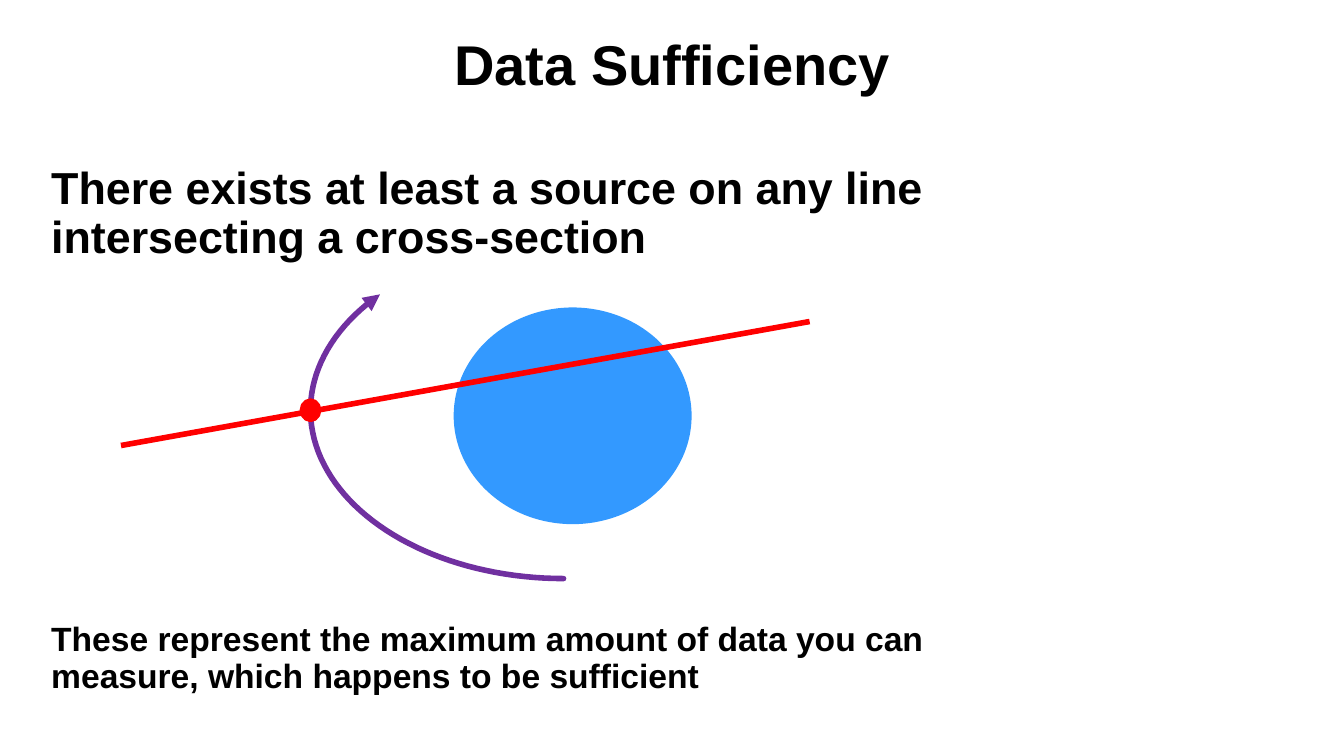
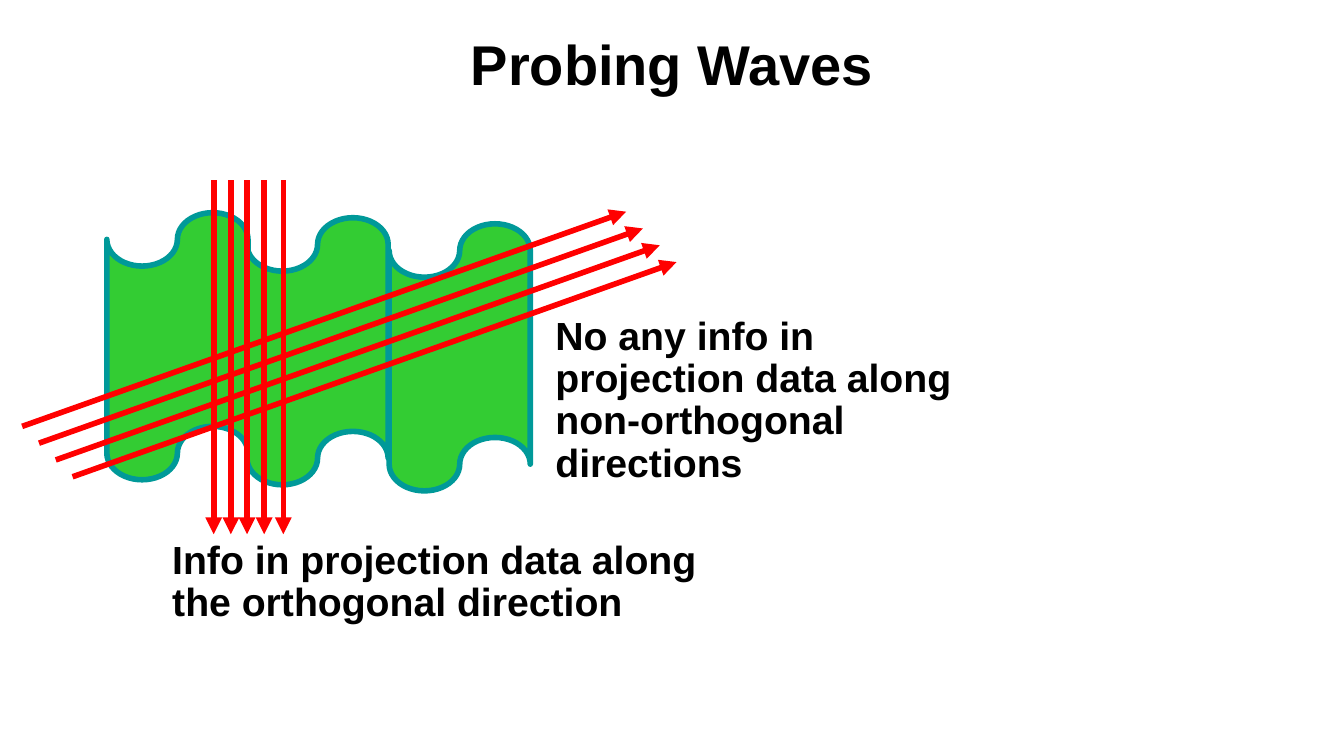
import math

from lxml import etree
from pptx import Presentation, util as u
from pptx.dml.color import RGBColor
from pptx.enum import shapes, text
from pptx.oxml.ns import qn

Inches = u.Inches

# Shared style
FONT = "Arial"
BLACK, RED, BLUE, PURPLE = "000000", "FF0000", "3399FF", "7030A0"
GREEN, TEAL, SHADOW = "33CC33", "009999", "C0C0C0"
LINE_WIDTH = u.Pt(4)
TITLE_BOX = (0.22, 0.17, 12.89, 0.92)

# Data Sufficiency: text is (paragraphs, box, size, wrap)
SUFFICIENCY_TITLE = "Data Sufficiency"
CONDITION = (["There exists at least a source on any line",
              "intersecting a cross-section"], (0.41, 1.6, 8.97, 1.07), 32, False)
CONCLUSION = (["These represent the maximum amount of data you can measure, "
               "which happens to be sufficient"], (0.41, 6.13, 9.16, 0.83), 24, True)
CROSS_SECTION = (4.5, 3.05, 2.36, 2.15)
SOURCE = (3, 3.98, 0.16, 0.18)
SOURCE_LINE = ((1.2, 4.42), (8.03, 3.19))
ORBIT_CENTER, ORBIT_RADII = (5.59, 4.07), (2.51, 1.67)
ORBIT_ANGLES, ORBIT_STEPS = (90, 223.5), 60

# Probing Waves
WAVES_TITLE = "Probing Waves"
WAVE_NOTES = [
    (["No any info in projection data along non-orthogonal directions"],
     (5.41, 3.09, 4.29, 1.8), 28, True),
    (["Info in projection data along the orthogonal direction"],
     (1.61, 5.31, 5.98, 0.95), 28, True),
]
WAVE_CORNERS = [(1.06, 2.11), (2.45, 2.16), (3.86, 2.22)]
WAVE_SIZE = (1.4, 2.65)
VERTICAL_RAYS, RAY_TOP, RAY_BOTTOM = [2.12, 2.29, 2.45, 2.62, 2.81], 1.79, 5.3
OBLIQUE_START, OBLIQUE_END = (0.22, 4.23), (6.21, 2.1)
OBLIQUE_COUNT, OBLIQUE_STEP = 4, 1 / 6


def color(value):
    return RGBColor.from_string(value)


def inches(values):
    return [Inches(value) for value in values]


def add_text(slide, paragraphs, box, size, wrap=True):
    shape = slide.shapes.add_textbox(*inches(box))
    frame = shape.text_frame
    frame.word_wrap = wrap
    frame.auto_size = text.MSO_AUTO_SIZE.SHAPE_TO_FIT_TEXT
    frame.text = "\n".join(paragraphs)
    for paragraph in frame.paragraphs:
        paragraph.line_spacing = 0.9
        font = paragraph.font
        font.name, font.size, font.bold = FONT, u.Pt(size), True
        font.color.rgb = color(BLACK)
    return frame


def add_title(slide, title):
    frame = add_text(slide, [title], TITLE_BOX, 40)
    frame.auto_size = text.MSO_AUTO_SIZE.NONE
    frame.vertical_anchor = text.MSO_ANCHOR.MIDDLE
    paragraph = frame.paragraphs[0]
    paragraph.alignment = text.PP_ALIGN.CENTER
    paragraph.line_spacing = 1.0
    # Soft text shadow
    properties = paragraph.runs[0]._r.get_or_add_rPr()
    effects = etree.SubElement(properties, qn("a:effectLst"))
    shadow = etree.SubElement(effects, qn("a:outerShdw"), dist="38100",
                              dir="2700000", algn="tl")
    etree.SubElement(shadow, qn("a:srgbClr"), val=SHADOW)


def style_line(line, value, arrow=False):
    line.color.rgb = color(value)
    line.width = LINE_WIDTH
    if arrow:
        etree.SubElement(line._get_or_add_ln(), qn("a:tailEnd"), type="triangle")


def add_figure(slide, kind, box, fill, outline=None):
    shape = slide.shapes.add_shape(kind, *inches(box))
    shape.shadow.inherit = False
    shape.fill.solid()
    shape.fill.fore_color.rgb = color(fill)
    if outline:
        style_line(shape.line, outline)
    else:
        shape.line.fill.background()


def add_ray(slide, start, end, arrow=True):
    ray = slide.shapes.add_connector(shapes.MSO_CONNECTOR.STRAIGHT,
                                     *inches(start + end))
    style_line(ray.line, RED, arrow)
    etree.SubElement(ray._element.spPr, qn("a:effectLst"))


def add_orbit(slide):
    first, last = ORBIT_ANGLES
    points = []
    for step in range(ORBIT_STEPS + 1):
        angle = math.radians(first + (last - first) * step / ORBIT_STEPS)
        points.append(inches((ORBIT_CENTER[0] + ORBIT_RADII[0] * math.cos(angle),
                              ORBIT_CENTER[1] + ORBIT_RADII[1] * math.sin(angle))))
    builder = slide.shapes.build_freeform(*points[0])
    builder.add_line_segments(points[1:], close=False)
    orbit = builder.convert_to_shape()
    orbit.shadow.inherit = False
    orbit.fill.background()
    style_line(orbit.line, PURPLE, arrow=True)
    orbit.line._get_or_add_ln().set("cap", "rnd")


def build_sufficiency(slide):
    add_title(slide, SUFFICIENCY_TITLE)
    ellipse = shapes.MSO_SHAPE.OVAL
    add_figure(slide, ellipse, CROSS_SECTION, BLUE)
    add_ray(slide, *SOURCE_LINE, arrow=False)
    add_text(slide, *CONDITION)
    add_orbit(slide)
    add_figure(slide, ellipse, SOURCE, RED, RED)
    add_text(slide, *CONCLUSION)


def build_waves(slide):
    add_title(slide, WAVES_TITLE)
    for corner in WAVE_CORNERS:
        add_figure(slide, shapes.MSO_SHAPE.FLOWCHART_PUNCHED_TAPE,
                   corner + WAVE_SIZE, GREEN, TEAL)
    for x in VERTICAL_RAYS:
        add_ray(slide, (x, RAY_TOP), (x, RAY_BOTTOM))
    for index in range(OBLIQUE_COUNT):
        shift = index * OBLIQUE_STEP
        add_ray(slide, *(tuple(value + shift for value in point)
                         for point in (OBLIQUE_START, OBLIQUE_END)))
    for note in WAVE_NOTES:
        add_text(slide, *note)


def main():
    presentation = Presentation()
    presentation.slide_width, presentation.slide_height = inches((13.33, 7.5))
    blank = presentation.slide_layouts[6]
    for build in (build_sufficiency, build_waves):
        build(presentation.slides.add_slide(blank))
    presentation.save("out.pptx")


if __name__ == "__main__":
    main()
